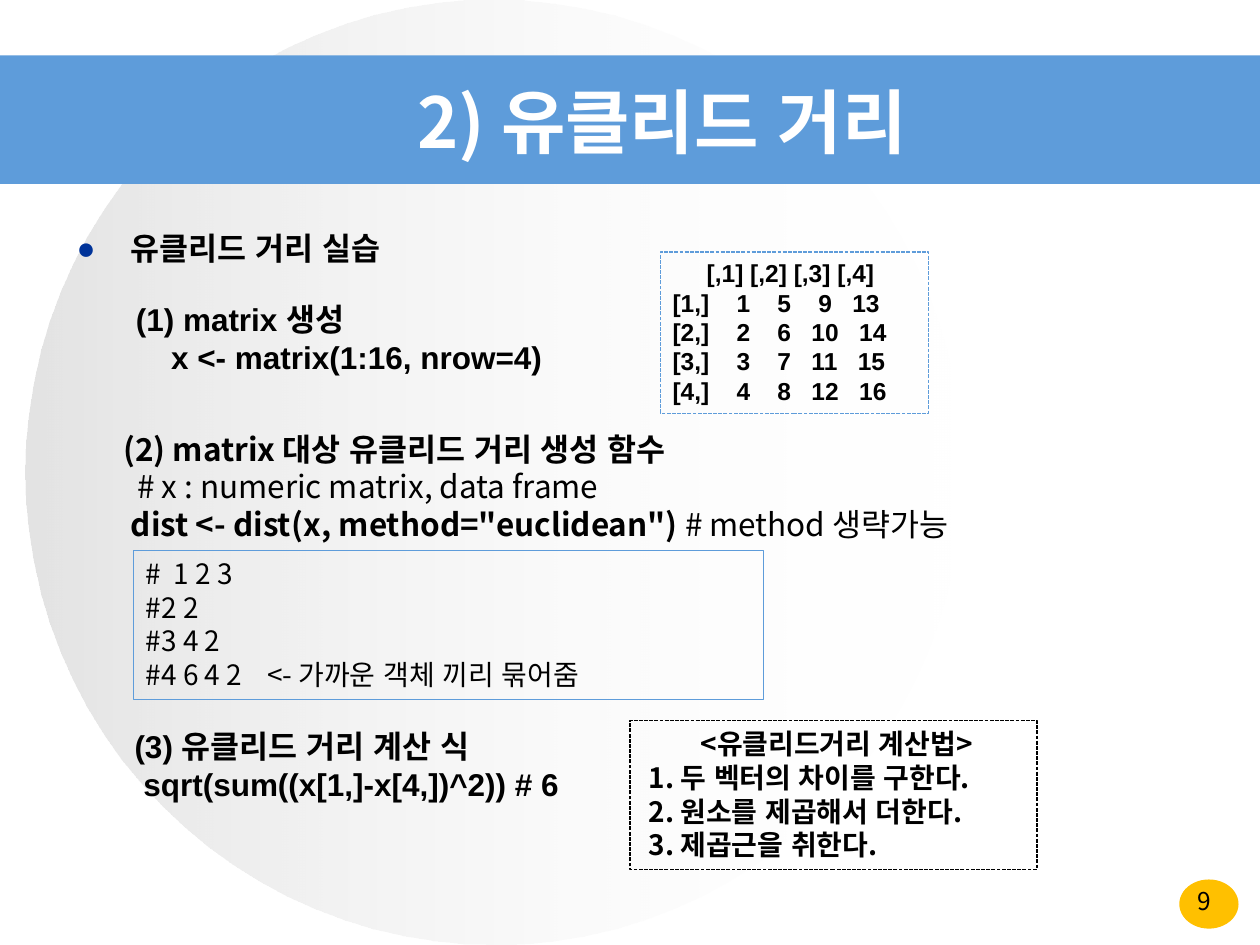
from dataclasses import dataclass

import pptx
import pptx.dml.color
import pptx.enum.dml
import pptx.enum.lang
import pptx.enum.shapes
import pptx.enum.text
import pptx.oxml
import pptx.oxml.ns
import pptx.util
from lxml import etree

Inches = pptx.util.Inches
Shapes = pptx.enum.shapes.MSO_SHAPE
Align = pptx.enum.text.PP_ALIGN
Anchor = pptx.enum.text.MSO_ANCHOR


@dataclass(frozen=True)
class Theme:
    blue: str = "5E9CDA"
    bullet: str = "003399"
    amber: str = "FFC000"
    silver: str = "C0C0C0"
    white: str = "FFFFFF"
    black: str = "000000"
    korean: str = "Noto Sans CJK KR"
    latin: str = "Arial"
    title: int = 40
    body: int = 18
    box: int = 16
    small: int = 14


THEME = Theme()


@dataclass(frozen=True)
class Line:
    text: str
    indent: float = 0
    bold: bool = True
    align: Align = Align.LEFT
    plain_tail: str = ""
    bullet: bool = False


@dataclass(frozen=True)
class Block:
    at: tuple[float, float, float, float]
    lines: tuple[Line, ...]
    size: int = THEME.body
    font: str = THEME.korean
    color: str = THEME.black
    border: str = ""
    dashed: bool = False
    anchor: Anchor = Anchor.TOP


def rgb(color: str) -> pptx.dml.color.RGBColor:
    return pptx.dml.color.RGBColor.from_string(color)


def add_child(parent, tag: str, **attributes: str):
    child = etree.SubElement(parent, pptx.oxml.ns.qn(tag))
    for name, value in attributes.items():
        child.set(name, value)
    return child


def add_shape(slide, kind: Shapes, at: tuple[float, ...], fill: str = ""):
    shape = slide.shapes.add_shape(kind, *map(Inches, at))
    shape.shadow.inherit = False
    shape.line.fill.background()
    if fill:
        shape.fill.solid()
        shape.fill.fore_color.rgb = rgb(fill)
    else:
        shape.fill.background()
    return shape


def add_faded_circle(slide, at: tuple[float, ...]) -> None:
    circle = add_shape(slide, Shapes.OVAL, at)
    circle.fill.gradient()
    circle.fill.gradient_angle = 0
    stops = ((THEME.silver, "44000"), (THEME.white, "0"))
    for stop, (color, alpha) in zip(circle.fill.gradient_stops, stops):
        stop.color.rgb = rgb(color)
    colors = circle.element.spPr.iter(pptx.oxml.ns.qn("a:srgbClr"))
    for element, (color, alpha) in zip(list(colors), stops):
        add_child(element, "a:alpha", val=alpha)


def format_line(paragraph, line: Line, block: Block) -> None:
    paragraph.text = line.text
    paragraph.alignment = line.align
    if line.plain_tail:
        paragraph.add_run().text = line.plain_tail
    for index, run in enumerate(paragraph.runs):
        run.font.name = block.font
        run.font.size = pptx.util.Pt(block.size)
        run.font.bold = line.bold and index == 0
        run.font.color.rgb = rgb(block.color)
        run.font.language_id = pptx.enum.lang.MSO_LANGUAGE_ID.KOREAN
        add_child(run.font._element, "a:ea", typeface=THEME.korean)

    # Indent and bullet
    if line.bullet:
        paragraph.line_spacing = 1.5
        paragraph.space_before = pptx.util.Pt(6)
    properties = paragraph._p.get_or_add_pPr()
    properties.set("marL", str(Inches(line.indent)))
    properties.set("indent", str(-Inches(line.indent) if line.bullet else 0))
    if line.bullet:
        color = add_child(properties, "a:buClr")
        add_child(color, "a:srgbClr", val=THEME.bullet)
        add_child(properties, "a:buFont", typeface=THEME.latin)
        add_child(properties, "a:buChar", char="●")


def add_block(slide, block: Block) -> None:
    if block.border:
        shape = add_shape(slide, Shapes.RECTANGLE, block.at)
        shape.line.color.rgb = rgb(block.border)
        shape.line.width = pptx.util.Pt(0.75)
        if block.dashed:
            shape.line.dash_style = pptx.enum.dml.MSO_LINE.SQUARE_DOT
    else:
        shape = slide.shapes.add_textbox(*map(Inches, block.at))
    frame = shape.text_frame
    frame.word_wrap = True
    frame.vertical_anchor = block.anchor
    frame.text = "\n".join(line.text for line in block.lines)
    for paragraph, line in zip(frame.paragraphs, block.lines):
        format_line(paragraph, line, block)


# The 4 x 4 matrix is filled column by column and printed as a console does
MATRIX_ROWS = tuple(
    Line(f"[{row},]" + "".join(f"{row + 4 * column:>5}" for column in range(4)))
    for row in range(1, 5)
)

BLOCKS = (
    # Title and page number
    Block((0.51, 0.58, 9.49, 0.75), (Line("2) 유클리드 거리", align=Align.CENTER),),
          THEME.title, color=THEME.white, anchor=Anchor.MIDDLE),
    Block((9.12, 6.98, 0.88, 0.29), (Line("9", bold=False, align=Align.CENTER),),
          THEME.small),
    # Heading and the three steps
    Block((0.51, 1.62, 9.21, 4.95),
          (Line("유클리드 거리 실습", 0.43, bullet=True),)),
    Block((0.98, 2.33, 3.94, 0.71),
          (Line("(1) matrix 생성"), Line("x <- matrix(1:16, nrow=4)", 0.28)),
          font=THEME.latin),
    Block((0.83, 3.36, 7.56, 1.01),
          (Line("(2) matrix 대상 유클리드 거리 생성 함수", 0.05),
           Line("# x : numeric matrix, data frame", 0.16, bold=False),
           Line('dist <- dist(x, method="euclidean") ', 0.11,
                plain_tail="# method 생략가능"))),
    Block((0.91, 5.72, 5, 0.71),
          (Line("(3) 유클리드 거리 계산 식", 0.06),
           Line("sqrt(sum((x[1,]-x[4,])^2)) # 6", 0.13)),
          font=THEME.latin),
    # Framed results
    Block((1.06, 4.37, 5, 1.18),
          tuple(Line(text, bold=False) for text in (
              "#  1 2 3", "#2 2", "#3 4 2",
              "#4 6 4 2    <- 가까운 객체 끼리 묶어줌")),
          THEME.box, border=THEME.blue),
    Block((5.24, 2, 2.13, 1.28),
          (Line("[,1] [,2] [,3] [,4]", 0.27), *MATRIX_ROWS),
          THEME.small, THEME.latin, border=THEME.blue, dashed=True),
    Block((5, 5.72, 3.23, 1.18),
          (Line("<유클리드거리 계산법>", 0.05, align=Align.CENTER),
           Line("1. 두 벡터의 차이를 구한다.", 0.05),
           Line("2. 원소를 제곱해서 더한다.", 0.05),
           Line("3. 제곱근을 취한다.", 0.05)),
          THEME.box, border=THEME.black, dashed=True),
)


def main() -> None:
    presentation = pptx.Presentation()
    presentation.slide_width = Inches(10)
    presentation.slide_height = Inches(7.5)
    slide = presentation.slides.add_slide(presentation.slide_layouts[6])

    # Backdrop
    add_shape(slide, Shapes.OVAL, (9.36, 6.98, 0.47, 0.39), THEME.amber)
    add_faded_circle(slide, (0.2, 0, 7.44, 7.5))
    add_shape(slide, Shapes.RECTANGLE, (0, 0.44, 10, 1.02), THEME.blue)

    for block in BLOCKS:
        add_block(slide, block)
    presentation.save("out.pptx")


if __name__ == "__main__":
    main()
